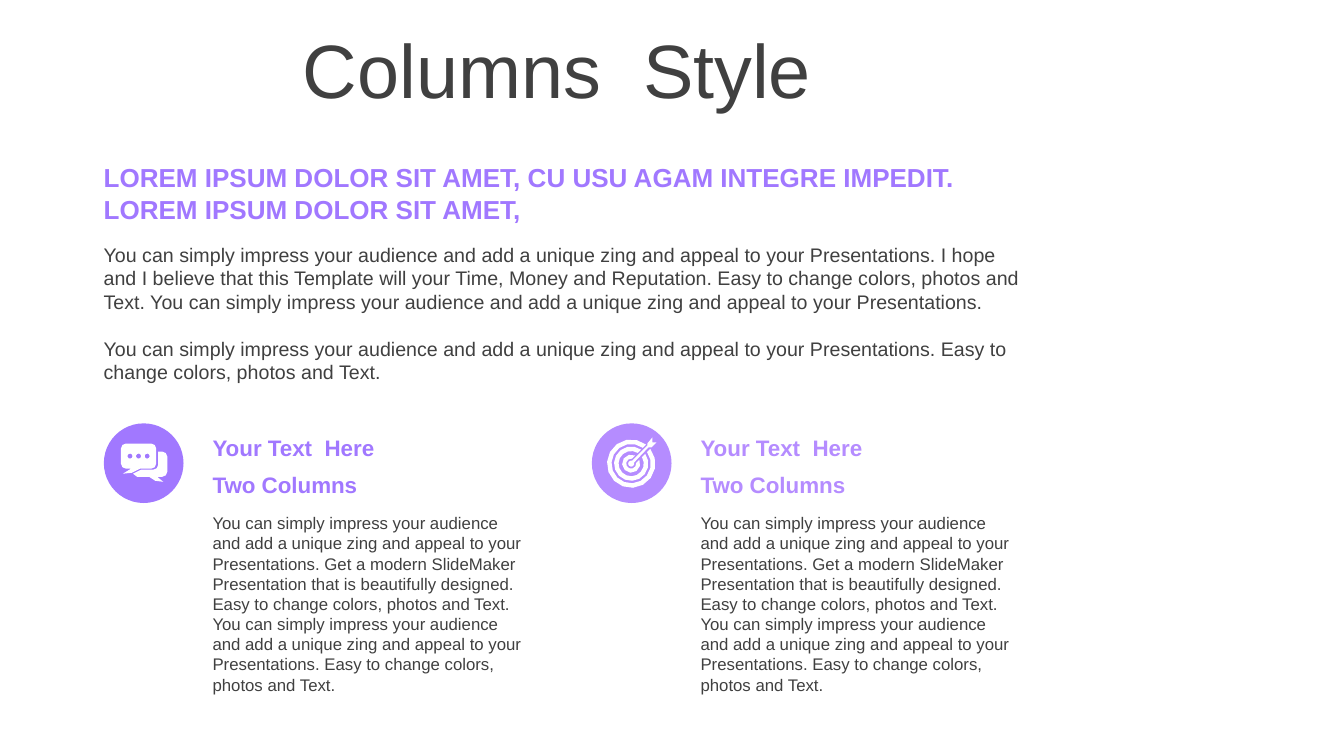
from dataclasses import dataclass
from math import asin, cos, degrees, radians, sin

from pptx import Presentation
from pptx.dml.color import RGBColor
from pptx.enum.shapes import MSO_SHAPE
from pptx.enum.text import MSO_ANCHOR, MSO_AUTO_SIZE, PP_ALIGN
from pptx.util import Emu, Pt

ELLIPSE = MSO_SHAPE.OVAL
TOP, MIDDLE = MSO_ANCHOR.TOP, MSO_ANCHOR.MIDDLE
LEFT, CENTER = PP_ALIGN.LEFT, PP_ALIGN.CENTER
FIT_SHAPE = MSO_AUTO_SIZE.SHAPE_TO_FIT_TEXT

PX = 9144  # 100 px to the inch
FONT = "Arial"
COLORS = {"text": "404040", "violet": "A178FF", "lilac": "B58CFF", "white": "FFFFFF"}

IMPRESS = ("You can simply impress your audience and add a unique zing "
           "and appeal to your Presentations.")
EASY = "Easy to change colors, photos and Text."
INTRO = [f"{IMPRESS} I hope and I believe that this Template will your Time, "
         f"Money and Reputation. {EASY} {IMPRESS}",
         f"{IMPRESS} {EASY}"]
COLUMN_BODY = (f"{IMPRESS} Get a modern SlideMaker Presentation that is "
               f"beautifully designed. {EASY} {IMPRESS} {EASY}")
COLUMN_HEADINGS = ["Your Text  Here", "Two Columns"]

Point = tuple[float, float]
Contour = list[Point]


@dataclass
class TextSpec:
    x: int
    y: int
    w: int
    h: int
    lines: list[str]
    size: float
    color: str = "text"
    bold: bool = False
    align: PP_ALIGN = LEFT
    anchor: MSO_ANCHOR = TOP
    gap: float = 0


@dataclass
class Column:
    x: int
    color: str
    icon: list[Contour]


def rgb(name: str) -> RGBColor:
    return RGBColor.from_string(COLORS[name])


def add_text(s, spec: TextSpec) -> None:
    box = s.shapes.add_textbox(*(Emu(v * PX) for v in (spec.x, spec.y, spec.w, spec.h)))
    tf = box.text_frame
    tf.word_wrap = True
    tf.auto_size = FIT_SHAPE
    tf.vertical_anchor = spec.anchor
    tf.text = "\n".join(spec.lines)
    for i, p in enumerate(tf.paragraphs):
        p.alignment = spec.align
        if i:
            p.space_before = Pt(spec.gap)
        for r in p.runs:
            r.font.name = FONT
            r.font.size = Pt(spec.size)
            r.font.bold = spec.bold
            r.font.color.rgb = rgb(spec.color)


def paint(sp, color: str) -> None:
    sp.shadow.inherit = False
    sp.fill.solid()
    sp.fill.fore_color.rgb = rgb(color)
    sp.line.fill.background()


def arc(cx: float, cy: float, radius: float, start: float, end: float) -> Contour:
    """Points along an arc, in degrees, clockwise when end exceeds start."""
    steps = max(2, round(abs(end - start) / (24 if radius > 10 else 40)))
    angles = [radians(start + (end - start) * i / steps) for i in range(steps + 1)]
    return [(cx + radius * cos(a), cy + radius * sin(a)) for a in angles]


def notched_ring(cx: float, cy: float, outer: float, inner: float) -> Contour:
    """A ring cut open towards the upper right, where the arrow enters."""
    cut_out, cut_in = (degrees(asin(3 / radius)) for radius in (outer, inner))
    return (arc(cx, cy, outer, -45 + cut_out, 315 - cut_out)
            + arc(cx, cy, inner, 315 - cut_in, -45 + cut_in))


def chat_icon() -> list[Contour]:
    front = (arc(125, 445, 5, 180, 270) + arc(150, 445, 5, 270, 360)
             + arc(150, 460, 5, 0, 90)
             + [(139, 465), (131, 469), (122, 470), (130, 465)]
             + arc(125, 460, 5, 90, 180))
    back = (arc(161, 453, 5, 270, 360) + arc(161, 468, 5, 0, 90)
            + [(156, 473), (162, 478), (154, 477), (148, 473),
               (136, 473), (132, 470), (140, 466)]
            + arc(152, 461, 5, 90, 0) + [(157, 448)])
    dots = [arc(x, 452.5, 2.5, 0, 320) for x in (129, 137.5, 146)]
    return [back, front, *dots]


def target_icon() -> list[Contour]:
    cx, cy = 626, 460
    rings = [notched_ring(cx, cy, outer, inner)
             for outer, inner in ((24, 19.5), (17, 12.5), (9, 5))]
    arrow = arc(cx, cy, 3, -20, 250) + [
        (627, 457), (642, 442), (642, 440), (647, 434), (647, 439),
        (651, 439), (646, 444), (643, 444)]
    return [*rings, arrow]


def add_icon(s, contours: list[Contour]) -> None:
    scaled = [[(x * PX, y * PX) for x, y in contour] for contour in contours]
    builder = s.shapes.build_freeform(*scaled[0][0])
    for i, contour in enumerate(scaled):
        if i:
            builder.move_to(*contour[0])
        builder.add_line_segments(contour[1:], close=True)
    paint(builder.convert_to_shape(), "white")


def add_column(s, column: Column) -> None:
    text_x = column.x + 98
    add_text(s, TextSpec(text_x, 504, 333, 192, [COLUMN_BODY], 12))
    for i, heading in enumerate(COLUMN_HEADINGS):
        add_text(s, TextSpec(text_x, 426 + 37 * i, 333, 37, [heading], 16,
                             column.color, bold=True))
    disc = s.shapes.add_shape(ELLIPSE, *(Emu(v * PX) for v in (column.x, 420, 79, 79)))
    paint(disc, column.color)
    add_icon(s, column.icon)


def main() -> None:
    prs = Presentation()
    prs.slide_width, prs.slide_height = Emu(1333 * PX), Emu(750 * PX)
    s = prs.slides.add_slide(prs.slide_layouts[6])

    texts = [
        TextSpec(0, 17, 1105, 101, ["Columns  Style"], 54, align=CENTER, anchor=MIDDLE),
        TextSpec(93, 155, 933, 73,
                 ["LOREM IPSUM DOLOR SIT AMET, CU USU AGAM INTEGRE IMPEDIT. "
                  "LOREM IPSUM DOLOR SIT AMET,"],
                 18.6, "violet", bold=True, anchor=MIDDLE),
        TextSpec(93, 236, 933, 151, INTRO, 14, gap=16.5),
    ]
    for spec in texts:
        add_text(s, spec)

    for column in (Column(103, "violet", chat_icon()), Column(587, "lilac", target_icon())):
        add_column(s, column)

    prs.save("out.pptx")


if __name__ == "__main__":
    main()
